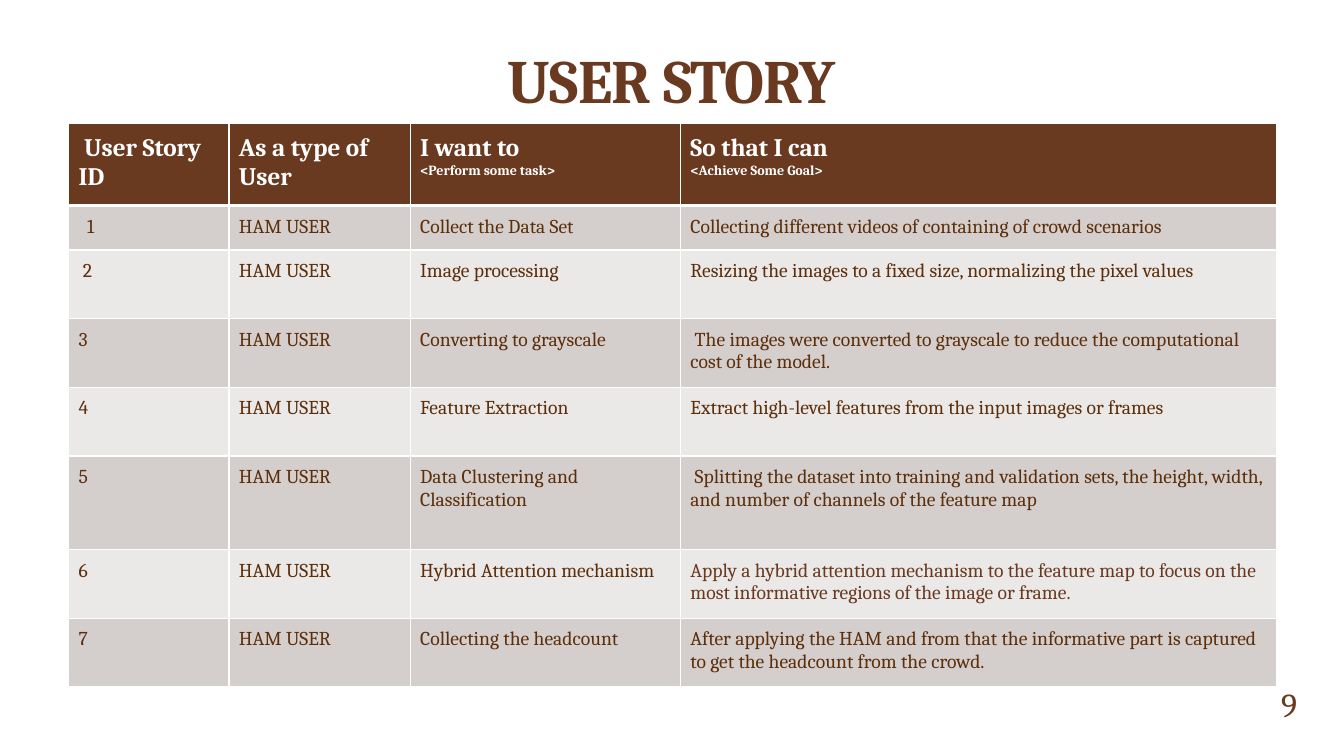
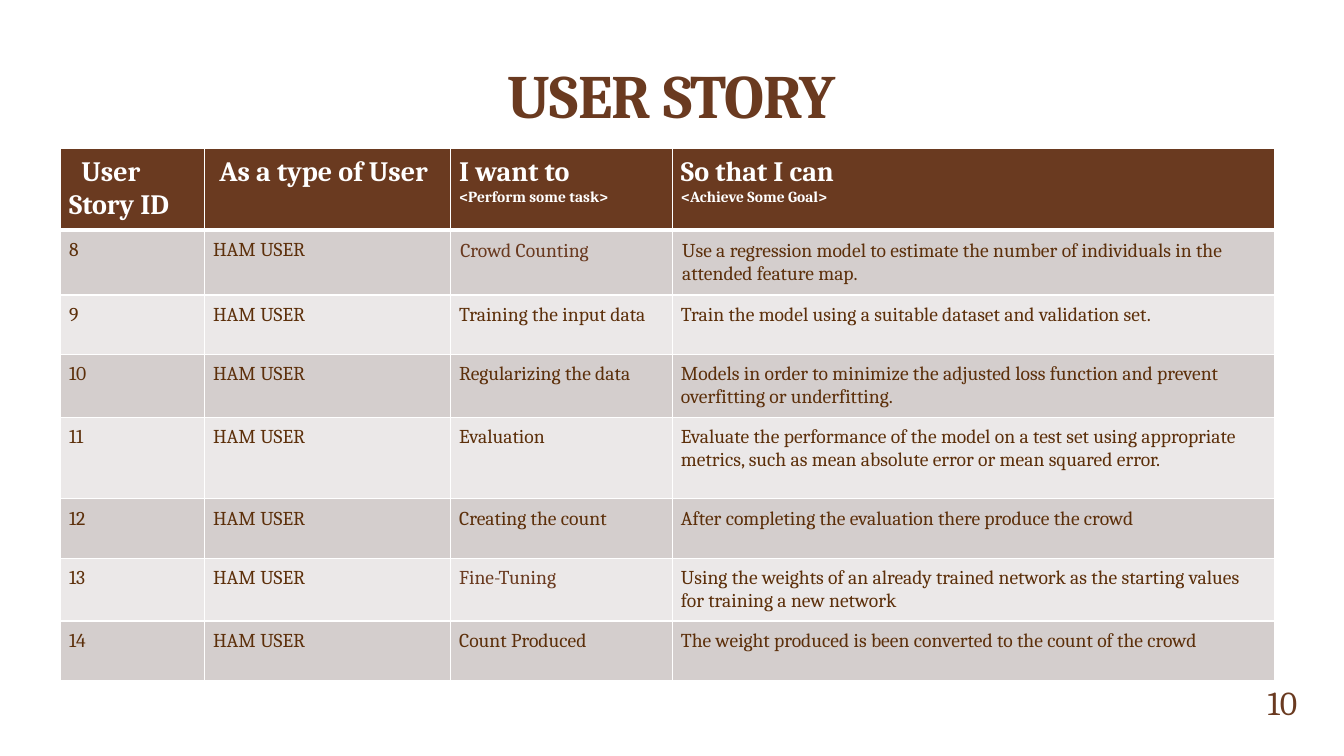
from pptx import Presentation
from pptx.dml.color import RGBColor
from pptx.enum.text import MSO_ANCHOR, PP_ALIGN
from pptx.oxml import parse_xml
from pptx.oxml.ns import nsdecls
from pptx.util import Cm, Pt

CENTER, RIGHT = PP_ALIGN.CENTER, PP_ALIGN.RIGHT
BOTTOM, MIDDLE = MSO_ANCHOR.BOTTOM, MSO_ANCHOR.MIDDLE
BROWN = RGBColor(0x6A, 0x3A, 0x20)
DARK_BROWN = RGBColor(0x5C, 0x2F, 0x0A)
WHITE = RGBColor(0xFF, 0xFF, 0xFF)
BANDS = (RGBColor(0xEB, 0xE8, 0xE8), RGBColor(0xD4, 0xCE, 0xCD))
FONT = "Cambria"
TITLE = {"size": Pt(44), "bold": True}
NUMBER = {"size": Pt(24)}
BODY = {"size": Pt(14), "bold": False}
USER = "HAM USER"
TASK = "I want to\n<Perform some task>"
GOAL = "So that I can\n<Achieve Some Goal>"

STORIES_A = [
    ("  1", "Collect the Data Set",
     "Collecting different videos of containing of crowd scenarios"),
    (" 2", "Image processing",
     "Resizing the images to a fixed size, normalizing the pixel values"),
    ("3", "Converting to grayscale",
     " The images were converted to grayscale to reduce the computational "
     "cost of the model."),
    ("4", "Feature Extraction",
     "Extract high-level features from the input images or frames"),
    ("5", "Data Clustering and Classification",
     " Splitting the dataset into training and validation sets, the height, "
     "width, and number of channels of the feature map"),
    ("6", "Hybrid Attention mechanism",
     "Apply a hybrid attention mechanism to the feature map to focus on the "
     "most informative regions of the image or frame."),
    ("7", "Collecting the headcount",
     "After applying the HAM and from that the informative part is captured "
     "to get the headcount from the crowd."),
]
STORIES_B = [
    ("8", "Crowd Counting",
     "Use a regression model to estimate the number of individuals in the "
     "attended feature map."),
    ("9", "Training the input data",
     "Train the model using a suitable dataset and validation set."),
    ("10", "Regularizing the data",
     "Models in order to minimize the adjusted loss function and prevent "
     "overfitting or underfitting."),
    ("11", "Evaluation",
     "Evaluate the performance of the model on a test set using appropriate "
     "metrics, such as mean absolute error or mean squared error."),
    ("12", "Creating the count",
     "After completing the evaluation there produce the crowd"),
    ("13", "Fine-Tuning",
     "Using the weights of an already trained network as the starting values "
     "for training a new network"),
    ("14", "Count Produced",
     "The weight produced is been converted to the count of the crowd"),
]
SLIDES = [
    {"number": "9", "number_top": 17.32, "title_box": (3.38, 0.74, 27.08, 2.31),
     "table_at": (1.73, 3.12), "cols": (4.04, 4.57, 6.81, 15.01),
     "rows": (2.06, 1.12, 1.73, 1.73, 1.73, 2.36, 1.73, 1.73),
     "header": (" User Story ID", "As a type of User", TASK, GOAL),
     "header_sizes": (18, 10), "inset": 0.25, "wide": (),
     "lighter": {(6, 3)}, "stories": STORIES_A},
    {"number": "10", "number_top": 17.27, "title_box": (3.38, 0.91, 27.08, 2.51),
     "table_at": (1.52, 3.73), "cols": (3.63, 6.2, 5.59, 15.19),
     "rows": (2.01, 1.57, 1.5, 1.5, 2.06, 1.5, 1.5, 1.5),
     "header": ("  User Story ID", " As a type of User", TASK, GOAL),
     "header_sizes": (20, 11), "inset": 0.22, "wide": {(1, 2), (1, 3)},
     "lighter": {(1, 2), (6, 2)}, "stories": STORIES_B},
]


def add_text(p, text, color, fmt):
    r = p.add_run()
    r.text = text
    r.font.name = FONT
    r.font.color.rgb = color
    for name, value in fmt.items():
        setattr(r.font, name, value)
    return r


def add_title(s, text, box):
    sp = s.shapes.title
    sp.left, sp.top, sp.width, sp.height = map(Cm, box)
    tf = sp.text_frame
    tf.vertical_anchor = BOTTOM
    p = tf.paragraphs[0]
    p.alignment = CENTER
    p.line_spacing = 0.85
    r = add_text(p, text, BROWN, TITLE)
    r.font._element.set("spc", "-50")


def add_number(s, text, top):
    sp = s.shapes.add_textbox(Cm(30.96), Cm(top), Cm(1.98), Cm(0.84))
    tf = sp.text_frame
    tf.word_wrap = True
    tf.vertical_anchor = MIDDLE
    p = tf.paragraphs[0]
    p.alignment = RIGHT
    add_text(p, text, BROWN, NUMBER)


def set_borders(cell, top, bottom):
    tc_pr = cell._tc.get_or_add_tcPr()
    for side, width in (("L", 1), ("R", 1), ("T", top), ("B", bottom)):
        tc_pr.append(parse_xml(
            f'<a:ln{side} {nsdecls("a")} w="{Pt(width)}"><a:solidFill>'
            f'<a:srgbClr val="{WHITE}"/></a:solidFill></a:ln{side}>'))


def fill_cell(cell, text, fill, color, formats, inset, top=1, bottom=1):
    set_borders(cell, top, bottom)
    cell.fill.solid()
    cell.fill.fore_color.rgb = fill
    for side in ("left", "top", "right", "bottom"):
        setattr(cell, f"margin_{side}", Cm(inset))
    tf = cell.text_frame
    for i, (line, fmt) in enumerate(zip(text.split("\n"), formats)):
        p = tf.add_paragraph() if i else tf.paragraphs[0]
        add_text(p, line, color, fmt)


def add_story_table(s, d):
    cols, rows = d["cols"], d["rows"]
    left, top = d["table_at"]
    table = s.shapes.add_table(len(rows), len(cols), Cm(left), Cm(top),
                               Cm(sum(cols)), Cm(sum(rows))).table
    for column, width in zip(table.columns, cols):
        column.width = Cm(width)
    for row, height in zip(table.rows, rows):
        row.height = Cm(height)
    header_formats = [{"size": Pt(n), "bold": True} for n in d["header_sizes"]]
    for j, text in enumerate(d["header"]):
        fill_cell(table.cell(0, j), text, BROWN, WHITE, header_formats,
                  d["inset"], bottom=3)
    for i, (story_id, task, goal) in enumerate(d["stories"], 1):
        for j, text in enumerate((story_id, USER, task, goal)):
            color = BROWN if (i, j) in d["lighter"] else DARK_BROWN
            inset = 0.25 if (i, j) in d["wide"] else d["inset"]
            fill_cell(table.cell(i, j), text, BANDS[i % 2], color, [BODY],
                      inset, top=3 if i == 1 else 1)


def main():
    prs = Presentation()
    prs.slide_width, prs.slide_height = Cm(33.87), Cm(19.05)
    for d in SLIDES:
        s = prs.slides.add_slide(prs.slide_layouts[5])
        add_title(s, "USER STORY", d["title_box"])
        add_story_table(s, d)
        add_number(s, d["number"], d["number_top"])
    prs.save("out.pptx")


if __name__ == "__main__":
    main()
